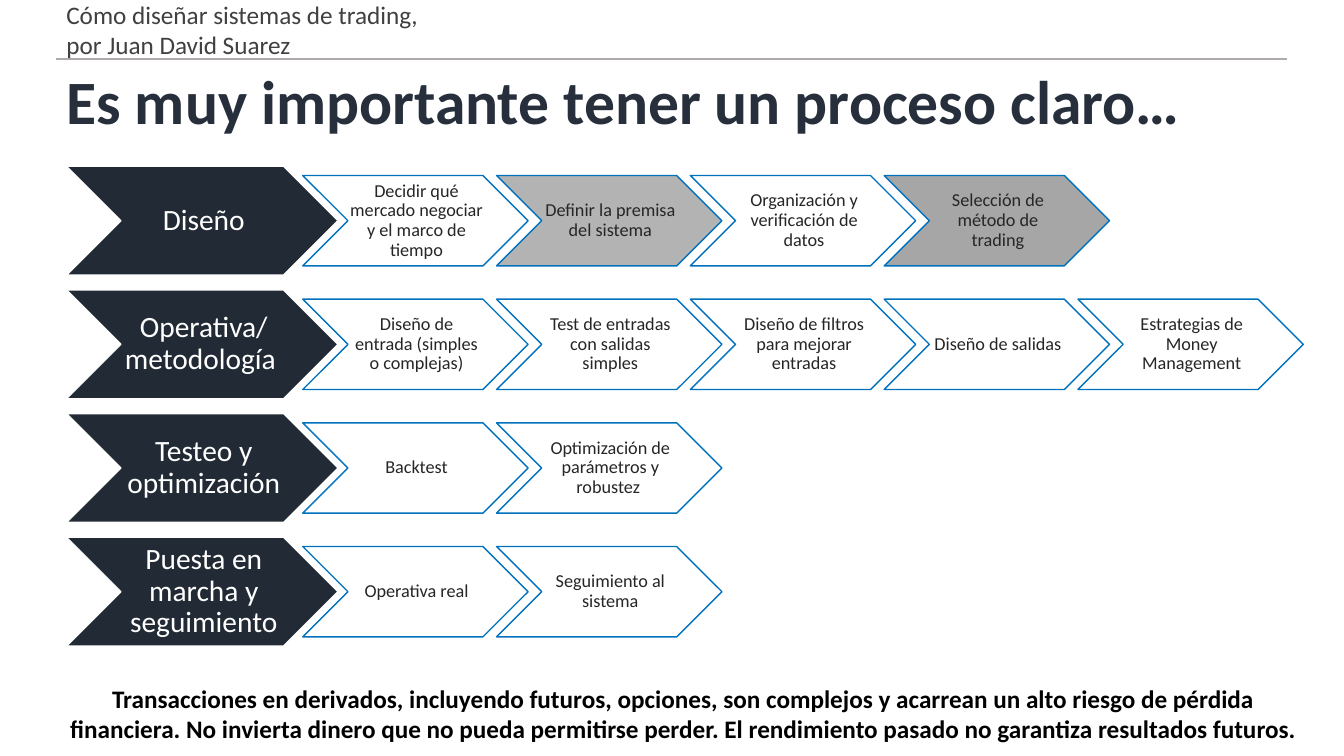
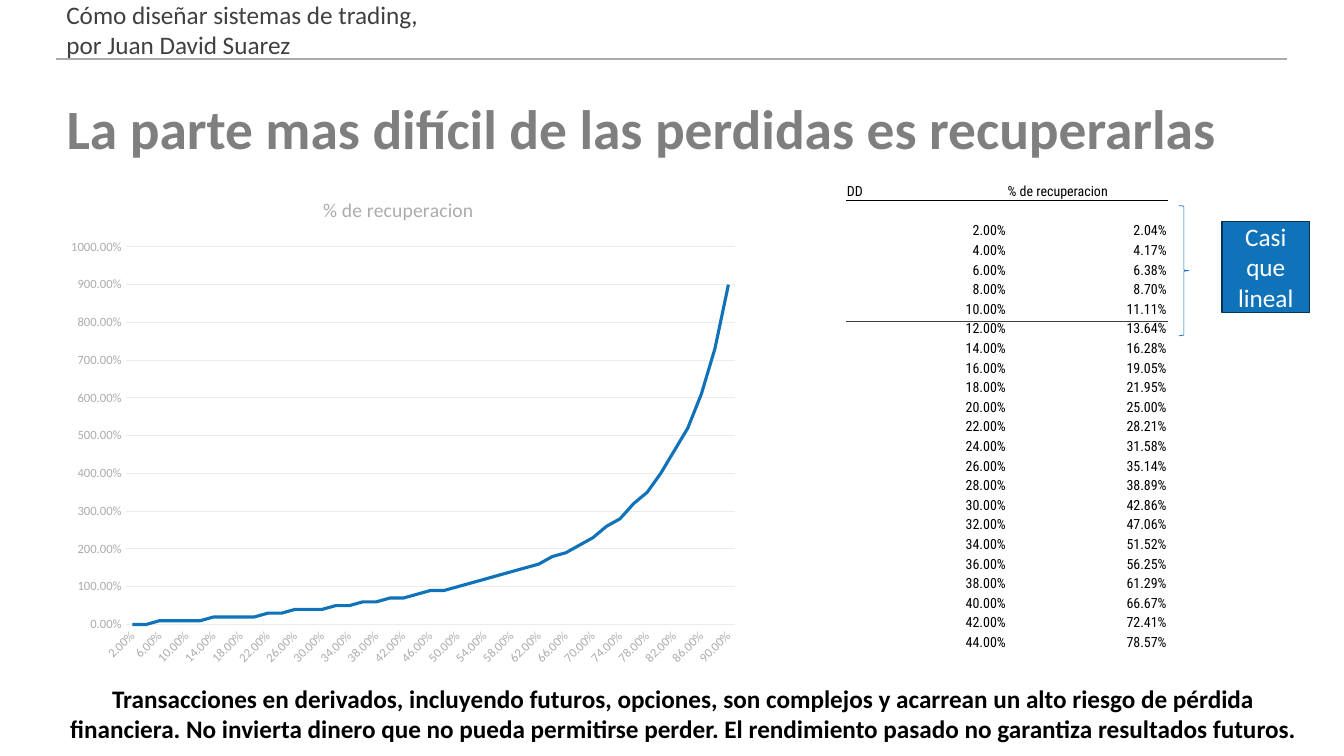
from lxml import etree
from pptx import Presentation
from pptx.chart.data import CategoryChartData
from pptx.dml.color import RGBColor
from pptx.enum.chart import XL_CHART_TYPE, XL_MARKER_STYLE, XL_TICK_MARK
from pptx.enum.shapes import MSO_CONNECTOR, MSO_SHAPE
from pptx.enum.text import MSO_ANCHOR, MSO_AUTO_SIZE, PP_ALIGN
from pptx.oxml.ns import qn
from pptx.util import Inches, Pt

CHEVRON, BRACE, RECTANGLE = MSO_SHAPE.CHEVRON, MSO_SHAPE.RIGHT_BRACE, MSO_SHAPE.RECTANGLE
STRAIGHT = MSO_CONNECTOR.STRAIGHT
LEFT, CENTER, RIGHT = PP_ALIGN.LEFT, PP_ALIGN.CENTER, PP_ALIGN.RIGHT
MIDDLE, BOTTOM = MSO_ANCHOR.MIDDLE, MSO_ANCHOR.BOTTOM
NO_AUTOFIT = MSO_AUTO_SIZE.NONE
LINE_CHART, NO_TICK, NO_MARKER = XL_CHART_TYPE.LINE, XL_TICK_MARK.NONE, XL_MARKER_STYLE.NONE

BLACK = RGBColor(0x00, 0x00, 0x00)
WHITE = RGBColor(0xFF, 0xFF, 0xFF)
NAVY = RGBColor(0x22, 0x2A, 0x35)
TITLE_NAVY = RGBColor(0x26, 0x2F, 0x3B)
TITLE_GRAY = RGBColor(0x7F, 0x7F, 0x7F)
HEADER_GRAY = RGBColor(0x40, 0x40, 0x40)
STEP_TEXT = RGBColor(0x26, 0x26, 0x26)
RULE_GRAY = RGBColor(0xAF, 0xAB, 0xAB)
LIGHT_STEP = RGBColor(0xB3, 0xB3, 0xB3)
DARK_STEP = RGBColor(0xA6, 0xA6, 0xA6)
STEP_BLUE = RGBColor(0x00, 0x71, 0xBD)
BLUE = RGBColor(0x10, 0x73, 0xBA)
DARK_BLUE = RGBColor(0x07, 0x32, 0x52)
AXIS_TEXT = RGBColor(0xAC, 0xAC, 0xAC)
GRID_GRAY = RGBColor(0xEC, 0xEC, 0xEC)

SLIDE_WIDTH, SLIDE_HEIGHT = 13.33, 7.5
MARGIN = 0.56
CONTENT_WIDTH = 12.2
BODY_FONT, TABLE_FONT = "Calibri", "Roboto Condensed"
NO_STYLE = "{2D5ABB26-0587-4C30-8999-92F81FD0307C}"

HEADER = "Cómo diseñar sistemas de trading, por Juan David Suarez"
DISCLAIMER = (
    "Transacciones en derivados, incluyendo futuros, opciones, son complejos y acarrean "
    "un alto riesgo de pérdida financiera. No invierta dinero que no pueda permitirse "
    "perder. El rendimiento pasado no garantiza resultados futuros."
)
TABLE_RECOVERY = "% de recuperacion"
CHART_RECOVERY = "% de recuperacion "
PROCESS = [
    ("Diseño", [
        ("Decidir qué mercado negociar y el marco de tiempo", None),
        ("Definir la premisa del sistema", LIGHT_STEP),
        ("Organización y verificación de datos", None),
        ("Selección de método de trading", DARK_STEP),
    ]),
    ("Operativa/ metodología ", [
        ("Diseño de entrada (simples o complejas)", None),
        ("Test de entradas con salidas simples", None),
        ("Diseño de filtros para mejorar entradas", None),
        ("Diseño de salidas", None),
        ("Estrategias de Money Management", None),
    ]),
    ("Testeo y optimización", [
        ("Backtest", None),
        ("Optimización de parámetros y robustez ", None),
    ]),
    ("Puesta en marcha y seguimiento", [
        ("Operativa real", None),
        ("Seguimiento al sistema", None),
    ]),
]


def set_values(target, values):
    for name, value in values.items():
        setattr(target, name, value)


def inches(box):
    return [Inches(length) for length in box]


def format_font(font, size, color, bold=False, name=BODY_FONT):
    set_values(font, {"name": name, "size": Pt(size), "bold": bold})
    font.color.rgb = color


def write_text(frame, text, size, color, bold=False, align=CENTER, spacing=1.0,
               margins=(0.1, 0.05, 0.1, 0.05)):
    left, top, right, bottom = inches(margins)
    set_values(frame, {
        "word_wrap": True, "auto_size": NO_AUTOFIT, "vertical_anchor": MIDDLE,
        "margin_left": left, "margin_top": top,
        "margin_right": right, "margin_bottom": bottom,
    })
    paragraph = frame.paragraphs[0]
    set_values(paragraph, {"alignment": align, "line_spacing": spacing})
    run = paragraph.add_run()
    run.text = text
    format_font(run.font, size, color, bold)


def set_line(line, color, width):
    line.color.rgb = color
    line.width = Pt(width)


def add_shape(slide, kind, box, fill, line_color, line_width):
    shape = slide.shapes.add_shape(kind, *inches(box))
    shape.shadow.inherit = False
    if fill is None:
        shape.fill.background()
    else:
        shape.fill.solid()
        shape.fill.fore_color.rgb = fill
    set_line(shape.line, line_color, line_width)
    return shape


def add_rule(slide, left, top, width, color, weight):
    rule = slide.shapes.add_connector(STRAIGHT, *inches((left, top, left + width, top)))
    set_line(rule.line, color, weight)
    etree.SubElement(rule.element.spPr, qn("a:effectLst"))
    return rule


def add_text(slide, box, text, **style):
    shape = slide.shapes.add_textbox(*inches(box))
    write_text(shape.text_frame, text, **style)
    return shape


def build_layout(layout, slide):
    for placeholder in list(layout.placeholders):
        if placeholder.placeholder_format.idx:
            placeholder.element.getparent().remove(placeholder.element)
    shared = [
        add_rule(slide, MARGIN, 0.59, CONTENT_WIDTH, RULE_GRAY, 1.5),
        add_text(slide, (MARGIN, 0.12, 3.93, 0.34), HEADER,
                 size=18, color=HEADER_GRAY, align=LEFT),
        add_text(slide, (MARGIN, 6.76, 12.44, 0.63), DISCLAIMER,
                 size=18, color=BLACK, bold=True),
    ]
    for shape in shared:
        layout.shapes.element.append(shape.element)


def add_title(slide, box, text, size, color):
    title = slide.shapes.title
    set_values(title, dict(zip(("left", "top", "width", "height"), inches(box))))
    write_text(title.text_frame, text, size, color, bold=True, align=LEFT, spacing=0.9)


def add_process_row(slide, box, label, steps):
    left, top, width, height = box
    label_width, step_height = width * 0.22, height * 0.83
    step_width = label_width * 0.83
    first_step, pitch = left + label_width * 0.87, step_width * 0.86
    stage = add_shape(slide, CHEVRON, (left, top, label_width, height), NAVY, WHITE, 1)
    write_text(stage.text_frame, label, 21, WHITE, spacing=0.9,
               margins=(0.03, 0.01, 0, 0.01))
    step_top = top + (height - step_height) / 2
    for column, (text, fill) in enumerate(steps):
        step_box = (first_step + column * pitch, step_top, step_width, step_height)
        step = add_shape(slide, CHEVRON, step_box, fill, STEP_BLUE, 1)
        write_text(step.text_frame, text, 13, STEP_TEXT, spacing=0.9,
                   margins=(0.02, 0.01, 0, 0.01))


def add_process(slide, box):
    left, top, width, height = box
    pitch = height / (len(PROCESS) - 0.12)
    for row, (label, steps) in enumerate(PROCESS):
        add_process_row(slide, (left, top + row * pitch, width, pitch * 0.88), label, steps)


def manual_layout(parent, values, position):
    for old in parent.findall(qn("c:layout")):
        parent.remove(old)
    layout = etree.Element(qn("c:layout"))
    parent.insert(position, layout)
    manual = etree.SubElement(layout, qn("c:manualLayout"))
    for name, value in values.items():
        etree.SubElement(manual, qn("c:" + name)).set("val", str(value))


def add_recovery_chart(slide, box):
    drawdowns = [percent / 100 for percent in range(2, 91, 2)]
    data = CategoryChartData(number_format="0.00%")
    data.categories = [f"{drawdown:.2%}" for drawdown in drawdowns]
    data.add_series(CHART_RECOVERY, [round(value / (1 - value), 1) for value in drawdowns])
    chart = slide.shapes.add_chart(LINE_CHART, *inches(box), data).chart
    format_font(chart.font, 10, TITLE_GRAY)
    set_values(chart, {"has_legend": False, "has_title": True})
    title_run = chart.chart_title.text_frame.paragraphs[0].add_run()
    title_run.text = CHART_RECOVERY
    format_font(title_run.font, 14, AXIS_TEXT)
    chart.chart_title.include_in_layout = False
    chart_element = chart.element.chart
    manual_layout(chart_element.find(qn("c:title")),
                  {"xMode": "edge", "yMode": "edge", "x": 0.38, "y": 0.03}, 1)
    manual_layout(chart_element.plotArea, {
        "layoutTarget": "inner", "xMode": "edge", "yMode": "edge",
        "x": 0.1, "y": 0.14, "w": 0.88, "h": 0.76}, 0)

    for axis in (chart.category_axis, chart.value_axis):
        set_values(axis, {"major_tick_mark": NO_TICK, "minor_tick_mark": NO_TICK})
        format_font(axis.tick_labels.font, 9, AXIS_TEXT)
    set_line(chart.category_axis.format.line, GRID_GRAY, 0.75)
    label_body = chart_element.find(".//" + "/".join(map(qn, ("c:catAx", "c:txPr", "a:bodyPr"))))
    label_body.set("rot", "-2700000")
    value_axis = chart.value_axis
    set_values(value_axis, {"minimum_scale": 0, "maximum_scale": 10, "major_unit": 1,
                            "has_major_gridlines": True})
    set_values(value_axis.tick_labels, {"number_format": "0.00%",
                                        "number_format_is_linked": False})
    value_axis.format.line.fill.background()
    set_line(value_axis.major_gridlines.format.line, GRID_GRAY, 0.75)
    chart.plots[0].vary_by_categories = False
    series = chart.plots[0].series[0]
    series.smooth = False
    series.marker.style = NO_MARKER
    set_line(series.format.line, BLUE, 2.25)


def add_bottom_border(cell):
    line = etree.Element(qn("a:lnB"), w=str(Pt(0.5)))
    cell._tc.get_or_add_tcPr().insert(0, line)
    fill = etree.SubElement(line, qn("a:solidFill"))
    etree.SubElement(fill, qn("a:srgbClr")).set("val", str(BLACK))


def fill_cell(cell, text, align):
    set_values(cell, {"margin_left": Inches(0.01), "margin_top": Inches(0.01),
                      "margin_right": Inches(0.01), "margin_bottom": 0,
                      "vertical_anchor": BOTTOM})
    cell.fill.background()
    paragraph = cell.text_frame.paragraphs[0]
    paragraph.alignment = align
    if text:
        run = paragraph.add_run()
        run.text = text
        format_font(run.font, 10, BLACK, name=TABLE_FONT)
    else:
        etree.SubElement(paragraph._p, qn("a:endParaRPr")).set("sz", "1000")


def add_recovery_table(slide, box):
    values = [percent / 100 for percent in range(2, 45, 2)]
    rows = [("DD", TABLE_RECOVERY), ("", "")]
    rows += [(f"{value:.2%}", f"{value / (1 - value):.2%}") for value in values]
    frame = slide.shapes.add_table(len(rows), 2, *inches(box))
    for style in frame.element.iter(qn("a:tableStyleId")):
        style.text = NO_STYLE
    table = frame.table
    set_values(table, {"first_row": False, "horz_banding": False})
    for row_index, texts in enumerate(rows):
        table.rows[row_index].height = Inches(box[3] / len(rows))
        for column, text in enumerate(texts):
            fill_cell(table.cell(row_index, column), text, RIGHT if row_index else LEFT)
    for cell in table.rows[0].cells:
        add_bottom_border(cell)
    add_rule(slide, box[0], box[1] + box[3] * 0.3, box[2], HEADER_GRAY, 0.5)


def add_linear_note(slide, box):
    left, top, width, height = box
    add_shape(slide, BRACE, (left, top, width * 0.08, height), None, BLUE, 0.5)
    note_box = (left + width * 0.33, top + height * 0.12, width * 0.67, height * 0.7)
    note = add_shape(slide, RECTANGLE, note_box, BLUE, DARK_BLUE, 1)
    write_text(note.text_frame, "Casi que lineal", 18, WHITE)


def main():
    presentation = Presentation()
    set_values(presentation, {"slide_width": Inches(SLIDE_WIDTH),
                              "slide_height": Inches(SLIDE_HEIGHT)})
    layout = presentation.slide_layouts[5]
    process_slide, recovery_slide = [presentation.slides.add_slide(layout) for _ in range(2)]
    build_layout(layout, process_slide)

    add_title(process_slide, (MARGIN, 0.64, CONTENT_WIDTH, 0.79),
              "Es muy importante tener un proceso claro…", 44, TITLE_NAVY)
    add_process(process_slide, (0.66, 1.65, 12.24, 4.76))

    add_title(recovery_slide, (MARGIN, 0.83, CONTENT_WIDTH, 0.94),
              "La parte mas difícil de las perdidas es recuperarlas", 39.6, TITLE_GRAY)
    add_recovery_chart(recovery_slide, (MARGIN, 1.76, 6.87, 4.93))
    add_recovery_table(recovery_slide, (8.39, 1.79, 3.19, 4.67))
    add_linear_note(recovery_slide, (11.69, 2.04, 1.3, 1.29))
    presentation.save("out.pptx")


if __name__ == "__main__":
    main()
